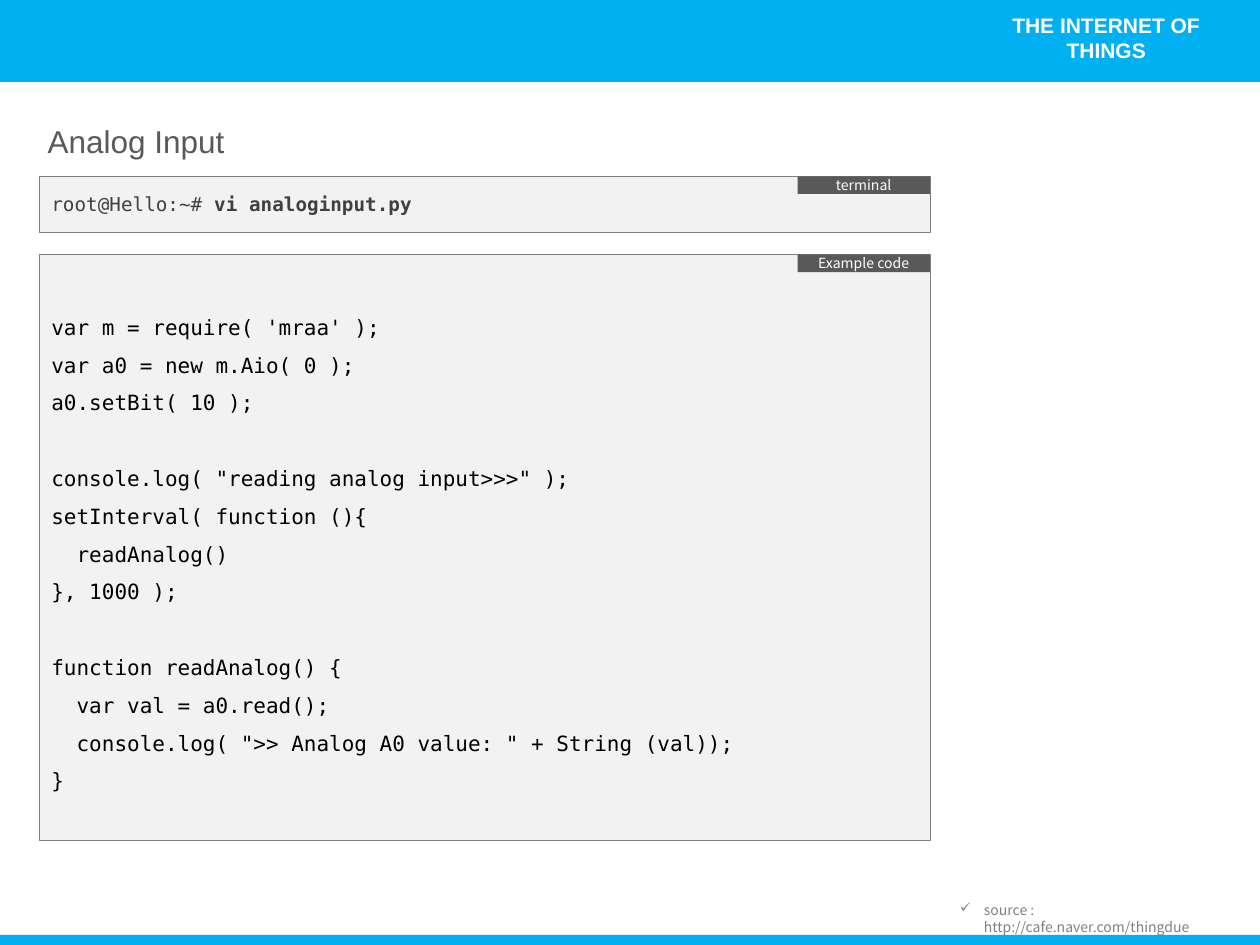
from lxml import etree
from pptx import Presentation
from pptx import util as u
from pptx.dml.color import RGBColor
from pptx.enum import shapes, text
from pptx.oxml.ns import qn

SKY = RGBColor(0x00, 0xB0, 0xF0)
WHITE = RGBColor(0xFF, 0xFF, 0xFF)
PANEL = RGBColor(0xF2, 0xF2, 0xF2)
BORDER = RGBColor(0x80, 0x80, 0x80)
DARK = RGBColor(0x59, 0x59, 0x59)
PROMPT = RGBColor(0x40, 0x40, 0x40)
BLACK = RGBColor(0x00, 0x00, 0x00)
MONO = "DejaVu Sans Mono"
SANS = "Noto Sans CJK KR"
CODE_BLOCKS = [
    ["var m = require( 'mraa' );", "var a0 = new m.Aio( 0 );", "a0.setBit( 10 );"],
    ['console.log( "reading analog input>>>" );', "setInterval( function (){",
     "  readAnalog()", "}, 1000 );"],
    ["function readAnalog() {", "  var val = a0.read();",
     '  console.log( ">> Analog A0 value: " + String (val));', "}"],
]


def add_bar(parent, left, top, width, height, color, border=None):
    bar = parent.shapes.add_shape(
        shapes.MSO_SHAPE.RECTANGLE,
        u.Inches(left), u.Inches(top), u.Inches(width), u.Inches(height))
    bar.shadow.inherit = False
    bar.fill.solid()
    bar.fill.fore_color.rgb = color
    if border is None:
        bar.line.fill.background()
    else:
        bar.line.color.rgb = border
        bar.line.width = u.Pt(0.25)
    bar.text_frame.word_wrap = True
    bar.text_frame.vertical_anchor = text.MSO_ANCHOR.MIDDLE
    return bar


def style(para, name, size, color, align=text.PP_ALIGN.LEFT):
    para.alignment = align
    para.font.name = name
    para.font.size = u.Pt(size)
    para.font.color.rgb = color


deck = Presentation()
deck.slide_width, deck.slide_height = u.Inches(10), u.Inches(7.5)
page = deck.slides.add_slide(deck.slide_layouts[6])

add_bar(page, 0, -0.03, 10, 0.68, SKY)
add_bar(page, 0, 7.42, 10, 0.08, SKY)

labels = [
    ("THE INTERNET OF THINGS", 7.6, 0.05, 2.36, 0.3, "Arial", 12, WHITE),
    ("Analog Input", 0.28, 0.92, 1.7, 0.4, "Arial", 18, DARK),
    ("source : http://cafe.naver.com/thingdue", 7.52, 7.11, 2.4, 0.24, SANS, 8, BORDER),
]
label_paras = []
for wording, left, top, width, height, name, size, color in labels:
    box = page.shapes.add_textbox(
        u.Inches(left), u.Inches(top), u.Inches(width), u.Inches(height))
    box.text_frame.word_wrap = True
    para = box.text_frame.paragraphs[0]
    para.text = wording
    label_paras.append(para)
    style(para, name, size, color)

header, title, source = label_paras
header.alignment = text.PP_ALIGN.CENTER
header.font.bold = True
properties = source._p.get_or_add_pPr()
properties.set("marL", str(u.Inches(0.19)))
properties.set("indent", str(u.Inches(-0.19)))
bullet = etree.Element(qn("a:buChar"), char="✓")
properties.insert(0, bullet)

panels = []
for caption, top, height in [("Example code", 2.02, 4.65), ("terminal", 1.4, 0.44)]:
    group = page.shapes.add_group_shape()
    panels.append(add_bar(group, 0.31, top, 7.07, height, PANEL, BORDER))
    tab = add_bar(group, 6.33, top, 1.05, 0.14, DARK)
    para = tab.text_frame.paragraphs[0]
    para.text = caption
    style(para, SANS, 8, WHITE, text.PP_ALIGN.CENTER)
code_panel, terminal_panel = panels

frame = code_panel.text_frame
para = frame.paragraphs[0]
for block_index, block in enumerate(CODE_BLOCKS):
    for line_index, line in enumerate(block):
        if block_index or line_index:
            para = frame.add_paragraph()
        para.text = line
        para.line_spacing = 1.5
        if block_index and line_index == 0:
            para.space_before = u.Pt(21.6)
        style(para, MONO, 12, BLACK)

para = terminal_panel.text_frame.paragraphs[0]
style(para, MONO, 11, PROMPT)
para.add_run().text = "root@Hello:~# "
command = para.add_run()
command.text = "vi analoginput.py"
command.font.bold = True

deck.save("out.pptx")
